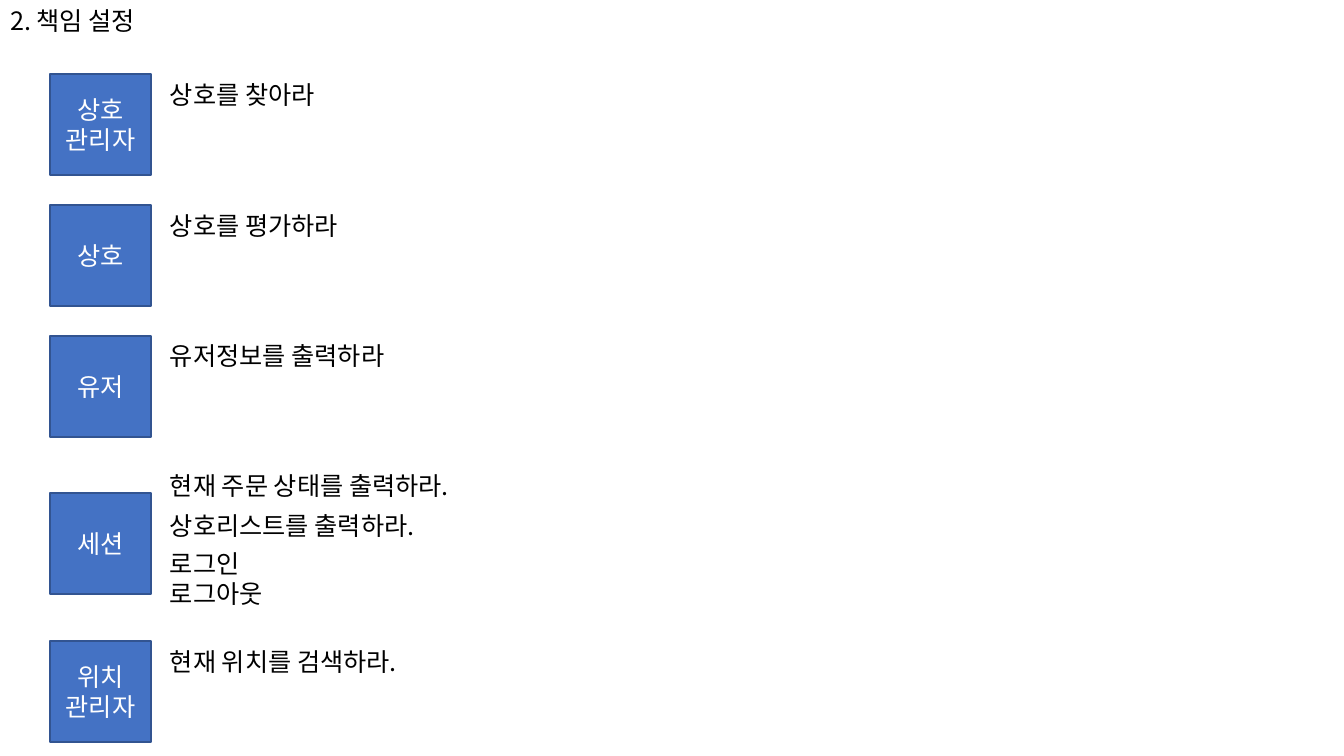
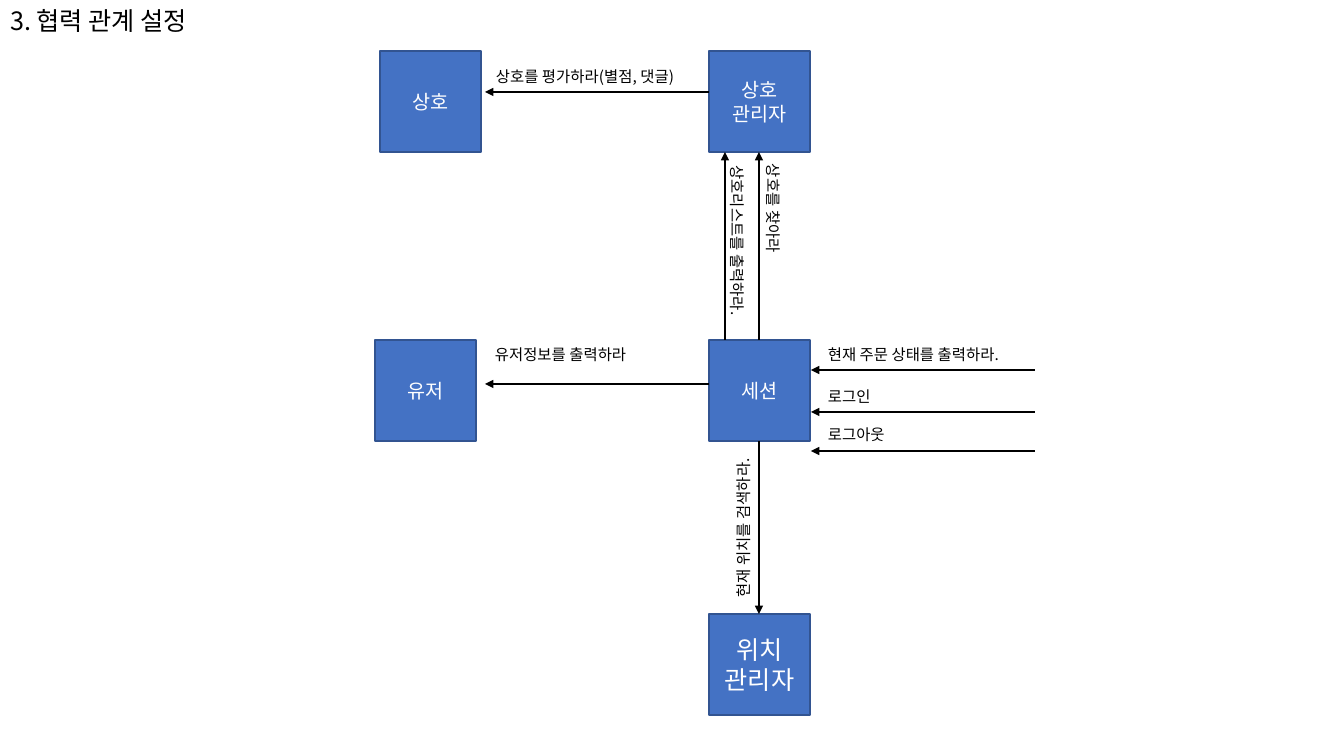
from dataclasses import dataclass

from lxml import etree
from pptx import Presentation, util as u
from pptx.dml.color import RGBColor
from pptx.enum import shapes, text
from pptx.oxml import ns

# Content: role, top of its box, and its messages as (text, top, width, height)
TITLES = {"duties": ("2. 책임 설정", 160), "links": ("3. 협력 관계 설정", 220)}
DUTIES = [
    ("상호\n관리자", 74, [("상호를 찾아라", 74, 182, 40)]),
    ("상호", 205, [("상호를 평가하라", 205, 208, 40)]),
    ("유저", 336, [("유저정보를 출력하라", 335, 264, 40)]),
    ("세션", 493, [("현재 주문 상태를 출력하라.", 465, 333, 40),
                 ("상호리스트를 출력하라.", 505, 289, 40),
                 ("로그인\n로그아웃", 543, 672, 71)]),
    ("위치\n관리자", 641, [("현재 위치를 검색하라.", 641, 273, 40)]),
]
# Role, left, top, type size name
ROLES = [
    ("상호", 380, 51, "medium"),
    ("유저", 375, 340, "medium"),
    ("상호\n관리자", 709, 51, "medium"),
    ("세션", 709, 340, "medium"),
    ("위치\n관리자", 709, 614, "large"),
]
# Message, left, top, width, rotation, arrow start, arrow end
MESSAGES = [
    ("상호를 평가하라(별점, 댓글)", 486, 62, 221, 0, (709, 92), (485, 92)),
    ("유저정보를 출력하라", 485, 340, 165, 0, (709, 384), (485, 384)),
    ("상호리스트를 출력하라.", 645, 233, 184, 90, (725, 340), (725, 152)),
    ("상호를 찾아라", 714, 199, 119, 90, (759, 340), (759, 152)),
    ("현재 위치를 검색하라.", 657, 506, 174, 270, (759, 441), (759, 614)),
    ("현재 주문 상태를 출력하라.", 818, 340, 212, 0, (1035, 370), (811, 370)),
    ("로그인", 818, 382, 67, 0, (1035, 412), (811, 412)),
    ("로그아웃", 818, 420, 83, 0, (1035, 451), (811, 451)),
]


@dataclass(frozen=True)
class Theme:
    font: str = "Noto Sans CJK KR"
    ink: str = "000000"
    paper: str = "FFFFFF"
    box: str = "4472C4"
    border: str = "325491"
    large: int = 18
    medium: int = 14
    small: int = 11


theme = Theme()
BOX, BOX_LEFT, DUTY_LEFT = 101, 50, 160
TITLE_HEIGHT, LABEL_HEIGHT = 40, 29


def px(n):
    return u.Emu(round(n * 914400 / 100.8))


def write(s, content, size=theme.large, color=theme.ink,
          align=text.PP_ALIGN.LEFT, anchor=text.MSO_ANCHOR.TOP):
    tf = s.text_frame
    tf.word_wrap, tf.vertical_anchor = True, anchor
    tf.auto_size = text.MSO_AUTO_SIZE.NONE
    tf.margin_left = tf.margin_right = u.Inches(0.1)
    tf.margin_top = tf.margin_bottom = u.Inches(0.05)
    for i, line in enumerate(content.split("\n")):
        p = tf.paragraphs[0] if i == 0 else tf.add_paragraph()
        p.alignment = align
        r = p.add_run()
        r.text = line
        r.font.name, r.font.size = theme.font, u.Pt(size)
        r.font.color.rgb = RGBColor.from_string(color)
        east = etree.SubElement(r.font._element, ns.qn("a:ea"))
        east.set("typeface", theme.font)


def add_slide(title, width):
    slide = prs.slides.add_slide(prs.slide_layouts[5])
    s = slide.shapes.title
    s.left, s.top, s.width, s.height = px(0), px(0), px(width), px(TITLE_HEIGHT)
    write(s, title)
    return slide


def add_label(slide, content, x, y, w, h, rotation=0, **fmt):
    s = slide.shapes.add_textbox(px(x), px(y), px(w), px(h))
    s.rotation = rotation
    write(s, content, **fmt)


def add_role(slide, role, x, y, size=theme.large):
    s = slide.shapes.add_shape(shapes.MSO_SHAPE.RECTANGLE, px(x), px(y), px(BOX), px(BOX))
    s.shadow.inherit = False
    s.fill.solid()
    s.fill.fore_color.rgb = RGBColor.from_string(theme.box)
    s.line.color.rgb = RGBColor.from_string(theme.border)
    s.line.width = u.Pt(1)
    write(s, role, size=size, color=theme.paper,
          align=text.PP_ALIGN.CENTER, anchor=text.MSO_ANCHOR.MIDDLE)


def add_arrow(slide, start, end):
    s = slide.shapes.add_connector(shapes.MSO_CONNECTOR.STRAIGHT, *map(px, start + end))
    s.line.color.rgb = RGBColor.from_string(theme.ink)
    s.line.width = u.Pt(1.5)
    etree.SubElement(s.line._get_or_add_ln(), ns.qn("a:tailEnd")).set("type", "triangle")
    etree.SubElement(s._element.spPr, ns.qn("a:effectLst"))


prs = Presentation()
prs.slide_width, prs.slide_height = px(1344), px(756)

# Responsibilities
slide = add_slide(*TITLES["duties"])
for role, top, duties in DUTIES:
    add_role(slide, role, BOX_LEFT, top)
    for duty, y, w, h in duties:
        add_label(slide, duty, DUTY_LEFT, y, w, h)

# Collaboration
slide = add_slide(*TITLES["links"])
for role, x, y, size in ROLES:
    add_role(slide, role, x, y, size=getattr(theme, size))
for message, x, y, w, rotation, start, end in MESSAGES:
    add_arrow(slide, start, end)
    add_label(slide, message, x, y, w, LABEL_HEIGHT, rotation, size=theme.small)

prs.save("out.pptx")
